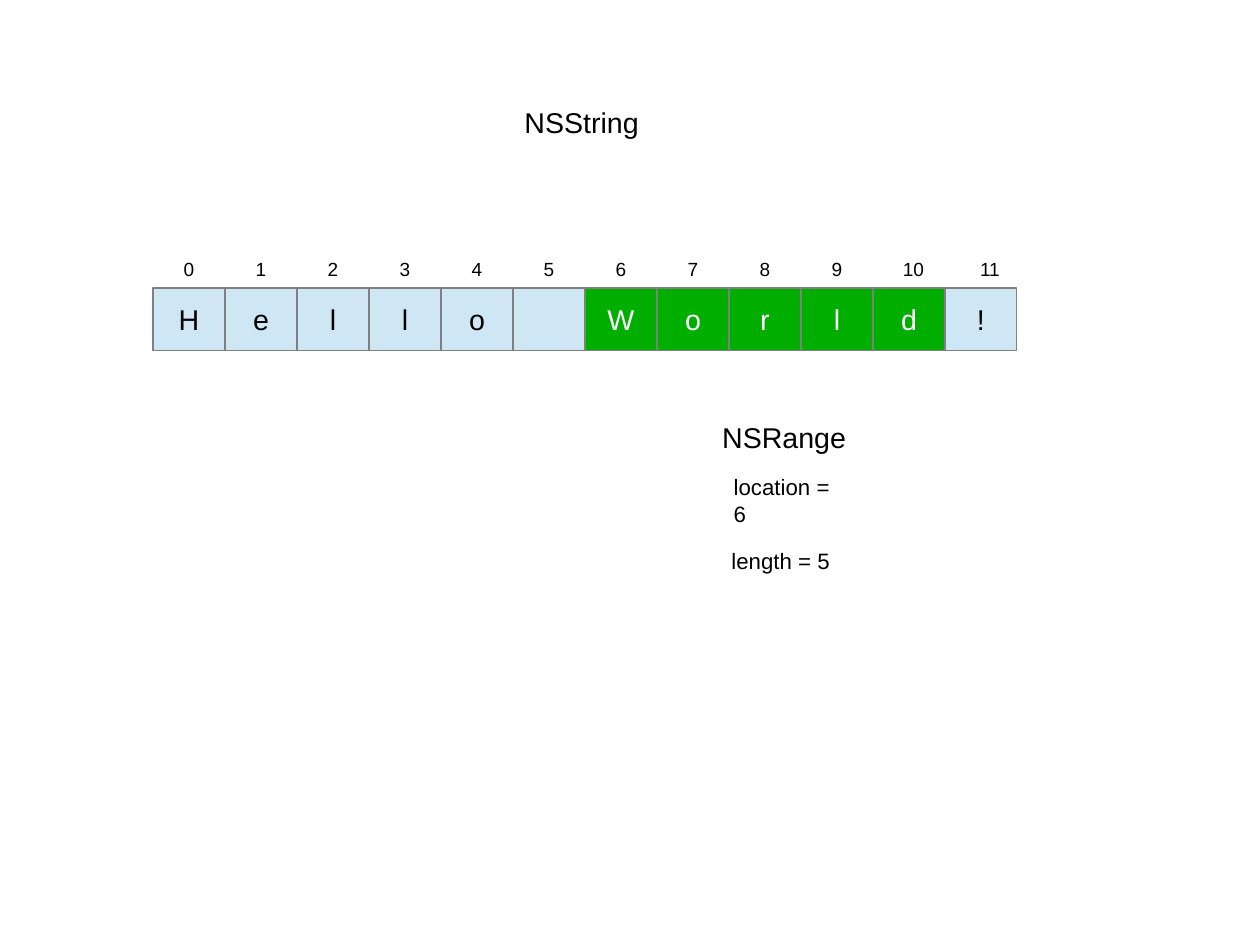
from dataclasses import dataclass

from lxml.etree import SubElement
from pptx import Presentation
from pptx.dml.color import RGBColor
from pptx.enum.shapes import MSO_SHAPE as Shp
from pptx.enum.text import MSO_ANCHOR as Anchor, MSO_AUTO_SIZE as Fit, PP_ALIGN as Align
from pptx.oxml.ns import qn
from pptx.util import Cm, Pt

COLORS = {"text": "000000", "selected_text": "FFFFFF", "cell": "CFE7F5",
          "selected": "00AE00", "border": "808080"}
STRING = "Hello World!"
LOCATION, LENGTH = 6, 5
LEFT, CELL_TOP, INDEX_TOP = 3.4, 6.4, 5.6
CELL_W, CELL_H = 1.6, 1.4
INDEX_INSET, INDEX_H = 0.4, 0.74
INDEX_WIDTHS = {10: 1.0, 11: 1.2}


@dataclass
class Cell:
    index: int
    char: str

    @property
    def left(self) -> float:
        """Return the left edge of the cell in centimetres."""
        return LEFT + self.index * CELL_W

    @property
    def selected(self) -> bool:
        """Tell whether the range covers the cell."""
        return LOCATION <= self.index < LOCATION + LENGTH


def rgb(name: str) -> RGBColor:
    """Look up a named colour."""
    return RGBColor.from_string(COLORS[name])


def write(s, text: str, *, size: float = 18, color: str = "text", align=Align.LEFT,
          anchor=Anchor.TOP, wrap: bool = True) -> None:
    """Write formatted text into a shape, one paragraph per line."""
    tf = s.text_frame
    tf.word_wrap = wrap
    tf.auto_size = Fit.NONE
    tf.vertical_anchor = anchor
    for i, line in enumerate(text.split("\n")):
        p = tf.add_paragraph() if i else tf.paragraphs[0]
        p.alignment = align
        p.space_before = Pt(0)
        r = p.add_run()
        r.text = line
        r.font.name = "Arial"
        r.font.size = Pt(size)
        r.font.color.rgb = rgb(color)


def place(s, left: float, top: float, width: float, height: float) -> None:
    """Move and size a shape, in centimetres."""
    s.left, s.top, s.width, s.height = Cm(left), Cm(top), Cm(width), Cm(height)


def add_text(slide, text: str, left: float, top: float, width: float, height: float,
             **fmt) -> None:
    """Add a text box."""
    box = slide.shapes.add_textbox(Cm(left), Cm(top), Cm(width), Cm(height))
    write(box, text, **fmt)


def add_cell(slide, cell: Cell) -> None:
    """Draw one character cell with its index above."""
    s = slide.shapes.add_shape(Shp.RECTANGLE, Cm(cell.left), Cm(CELL_TOP),
                               Cm(CELL_W), Cm(CELL_H))
    s.shadow.inherit = False
    s.fill.solid()
    s.fill.fore_color.rgb = rgb("selected" if cell.selected else "cell")
    s.line.color.rgb = rgb("border")
    s.line.width = Pt(0)
    if cell.char.strip():
        write(s, cell.char, color="selected_text" if cell.selected else "text",
              align=Align.CENTER, anchor=Anchor.MIDDLE)
    add_text(slide, str(cell.index), cell.left + INDEX_INSET, INDEX_TOP,
             INDEX_WIDTHS.get(cell.index, 0.8), INDEX_H, size=12, align=Align.CENTER)


def add_fields(body) -> None:
    """Fill the body placeholder with the fields of the range."""
    place(body, 16, 10.4, 3.1, 1.82)
    write(body, f"location = {LOCATION}\nlength = {LENGTH}", size=14, wrap=False)
    location, length = body.text_frame.paragraphs
    length.space_before = Pt(12.7)
    for p, margin in ((location, Cm(0.05)), (length, Cm(0))):
        pPr = p._p.get_or_add_pPr()
        pPr.set("marL", str(int(margin)))
        pPr.set("indent", "0")
        SubElement(pPr, qn("a:buNone"))


def main() -> None:
    """Build the slide and save it."""
    prs = Presentation()
    prs.slide_width, prs.slide_height = Cm(28), Cm(21)
    slide = prs.slides.add_slide(prs.slide_layouts[1])
    title, body = slide.placeholders
    place(title, 11.4, 2.2, 3.05, 0.96)
    write(title, "NSString", wrap=False)
    for i, char in enumerate(STRING):
        add_cell(slide, Cell(i, char))
    add_text(slide, "NSRange", 15.8, 9.2, 3.25, 0.96, wrap=False)
    add_fields(body)
    prs.save("out.pptx")


if __name__ == "__main__":
    main()
